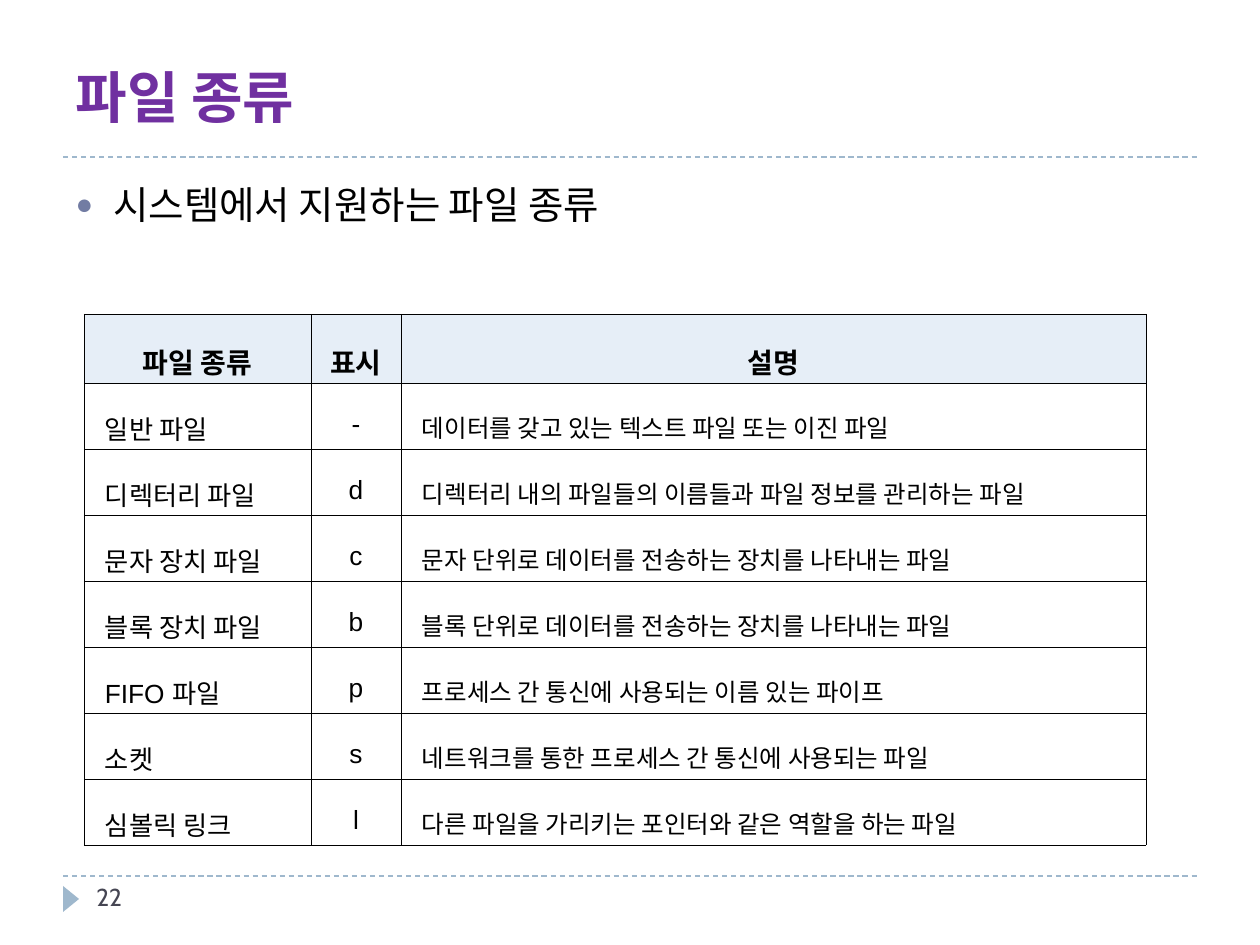
"""Builds a slide that lists the file types of a system in a table."""
from lxml.etree import SubElement
from pptx import Presentation
from pptx.dml.color import RGBColor
from pptx.enum.dml import MSO_LINE
from pptx.enum.shapes import MSO_CONNECTOR, MSO_SHAPE
from pptx.enum.text import MSO_ANCHOR as Anchor, MSO_AUTO_SIZE, PP_ALIGN as Align
from pptx.oxml import parse_xml
from pptx.oxml.ns import nsdecls, qn
from pptx.util import Pt

TITLE = "파일 종류"
BULLET_TEXT = "시스템에서 지원하는 파일 종류"
PAGE_NUMBER = "22"
HEADER = ("파일 종류", "표시", "설명")
FILE_TYPES = [
    ("일반 파일", "-", "데이터를 갖고 있는 텍스트 파일 또는 이진 파일"),
    ("디렉터리 파일", "d", "디렉터리 내의 파일들의 이름들과 파일 정보를 관리하는 파일"),
    ("문자 장치 파일", "c", "문자 단위로 데이터를 전송하는 장치를 나타내는 파일"),
    ("블록 장치 파일", "b", "블록 단위로 데이터를 전송하는 장치를 나타내는 파일"),
    ("FIFO 파일", "p", "프로세스 간 통신에 사용되는 이름 있는 파이프"),
    ("소켓", "s", "네트워크를 통한 프로세스 간 통신에 사용되는 파일"),
    ("심볼릭 링크", "l", "다른 파일을 가리키는 포인터와 같은 역할을 하는 파일"),
]
COLUMN_WIDTHS = (227, 90, 745)
COLUMN_STYLES = ((Align.JUSTIFY, 15, 18), (Align.CENTER, 15, 0), (Align.LEFT, 14, 18))
HEADER_HEIGHT, ROW_HEIGHT = 69, 66
CELL_MARGIN = 3
LEFT, RIGHT = 63, 1197
RULES = (157, 876)
BLACK, PURPLE, ACCENT = "000000", "7030A0", "9FB8CD"


def px(length):
    return length * 914400 // 126


def color(value):
    return RGBColor.from_string(value)


def place(shape, left, top, width, height):
    shape.left, shape.top = px(left), px(top)
    shape.width, shape.height = px(width), px(height)


def set_font(paragraph, name, size, value=BLACK, bold=False):
    font = paragraph.font
    font.name, font.size, font.bold = name, Pt(size), bold
    font.color.rgb = color(value)


def add_rule(slide, y):
    rule = slide.shapes.add_connector(
        MSO_CONNECTOR.STRAIGHT, px(LEFT), px(y), px(RIGHT), px(y))
    rule.line.color.rgb = color(ACCENT)
    rule.line.width = Pt(0.75)
    rule.line.dash_style = MSO_LINE.DASH
    SubElement(rule.element.spPr, qn("a:effectLst"))


def add_marker(slide):
    marker = slide.shapes.add_shape(
        MSO_SHAPE.ISOSCELES_TRIANGLE, px(58), px(891), px(26), px(16))
    marker.rotation = 90
    marker.shadow.inherit = False
    marker.fill.solid()
    marker.fill.fore_color.rgb = color(ACCENT)
    marker.line.fill.background()


def add_page_number(slide):
    frame = slide.shapes.add_textbox(px(84), px(876), px(273), px(50)).text_frame
    frame.word_wrap = True
    frame.text = PAGE_NUMBER
    set_font(frame.paragraphs[0], "Cabin", 14, "464653")


def fill_title(title):
    place(title, LEFT, 21, 1134, 115)
    frame = title.text_frame
    frame.text = TITLE
    frame.auto_size = MSO_AUTO_SIZE.NONE
    frame.vertical_anchor = Anchor.BOTTOM
    paragraph = frame.paragraphs[0]
    paragraph.alignment = Align.LEFT
    set_font(paragraph, "Arial", 32, PURPLE, True)


def fill_body(body):
    place(body, LEFT, 175, 1134, 674)
    frame = body.text_frame
    frame.text = BULLET_TEXT
    frame.auto_size = MSO_AUTO_SIZE.NONE
    paragraph = frame.paragraphs[0]
    paragraph.space_before = Pt(6)
    set_font(paragraph, "Arial", 22)
    properties = paragraph._p.get_or_add_pPr()
    properties.set("marL", str(px(38)))
    properties.set("indent", str(px(-38)))
    bullet = (f'<a:buClr {nsdecls("a")}><a:srgbClr val="727CA3"/></a:buClr>',
              f'<a:buSzPct {nsdecls("a")} val="76000"/>',
              f'<a:buChar {nsdecls("a")} char="●"/>')
    position = list(properties).index(properties.find(qn("a:defRPr")))
    for offset, xml in enumerate(bullet):
        properties.insert(position + offset, parse_xml(xml))


def format_cell(cell, text):
    cell.text = text
    cell.vertical_anchor = Anchor.MIDDLE
    cell.margin_left = cell.margin_right = px(CELL_MARGIN)
    cell.margin_top = cell.margin_bottom = px(CELL_MARGIN)
    properties = cell._tc.get_or_add_tcPr()
    for side in "LRTB":
        properties.append(parse_xml(
            f'<a:ln{side} {nsdecls("a")} w="{Pt(0.28)}"><a:solidFill>'
            f'<a:srgbClr val="{BLACK}"/></a:solidFill></a:ln{side}>'))
    paragraph = cell.text_frame.paragraphs[0]
    paragraph.line_spacing = 1.6
    return paragraph


def add_file_table(slide):
    rows = len(FILE_TYPES) + 1
    height = HEADER_HEIGHT + ROW_HEIGHT * len(FILE_TYPES)
    table = slide.shapes.add_table(
        rows, len(HEADER), px(84), px(314), px(sum(COLUMN_WIDTHS)), px(height)).table
    table.first_row = table.horz_banding = False
    for column, width in zip(table.columns, COLUMN_WIDTHS):
        column.width = px(width)
    for index, row in enumerate(table.rows):
        row.height = px(ROW_HEIGHT if index else HEADER_HEIGHT)
    for index, text in enumerate(HEADER):
        cell = table.cell(0, index)
        paragraph = format_cell(cell, text)
        paragraph.alignment = Align.CENTER
        set_font(paragraph, "Cabin", 16, bold=True)
        cell.fill.solid()
        cell.fill.fore_color.rgb = color("E6EEF7")
    for row, texts in enumerate(FILE_TYPES, 1):
        for index, (text, style) in enumerate(zip(texts, COLUMN_STYLES)):
            alignment, size, indent = style
            cell = table.cell(row, index)
            paragraph = format_cell(cell, text)
            paragraph.alignment = alignment
            paragraph.space_before = Pt(10)
            paragraph._p.get_or_add_pPr().set("marL", str(px(indent)))
            set_font(paragraph, "Arial", size)
            cell.fill.background()


def main():
    presentation = Presentation()
    presentation.slide_width, presentation.slide_height = px(1260), px(945)
    slide = presentation.slides.add_slide(presentation.slide_layouts[1])
    fill_title(slide.shapes.title)
    fill_body(slide.placeholders[1])
    for y in RULES:
        add_rule(slide, y)
    add_marker(slide)
    add_page_number(slide)
    add_file_table(slide)
    presentation.save("out.pptx")


if __name__ == "__main__":
    main()
